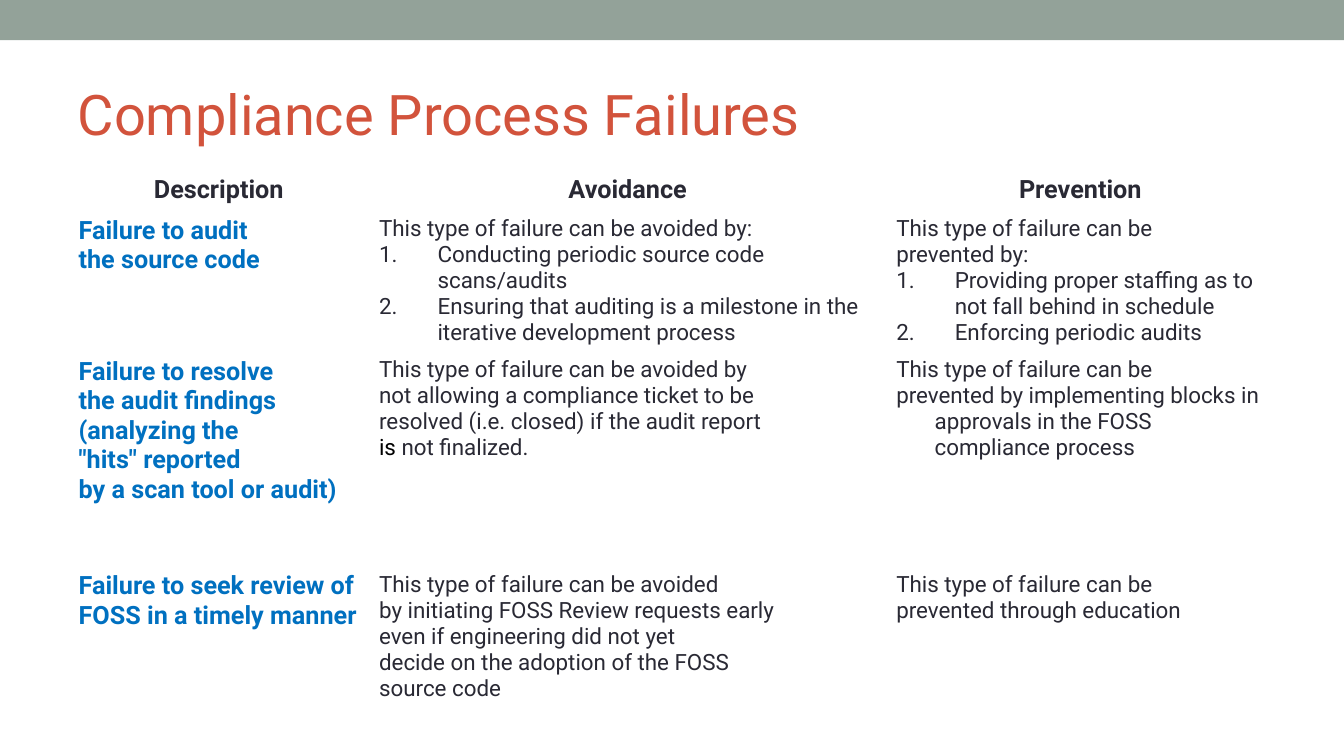
from lxml.etree import SubElement
from pptx import Presentation
from pptx.dml.color import RGBColor
from pptx.enum.shapes import MSO_SHAPE as Shape
from pptx.enum.text import MSO_ANCHOR as Anchor, PP_ALIGN as Align
from pptx.oxml.ns import qn
from pptx.util import Inches, Pt

INK, BLUE, BLACK, WHITE = "292934", "0070C0", "000000", "FFFFFF"
HEADER = {"size": Pt(18), "bold": True, "name": "Roboto"}
BODY = {"size": Pt(16), "bold": False, "name": "Roboto"}
NUMBER_MARK = "# "
COLUMN_WIDTHS = [2.98, 5.13, 3.85]
ROW_HEIGHTS = [0.4, 1.4, 2.13, 1.4]
HANGING_INDENTS = [0, 0.58, 0.38, 0.38]  # one per row

# Each cell is a list of paragraphs, each paragraph a list of (text, colour)
# runs or a plain string in the colour of its column.
ROWS = [
    [["Description"], ["Avoidance"], ["Prevention"]],
    [
        ["Failure to audit", "the source code"],
        ["This type of failure can be avoided by:",
         "# Conducting periodic source code scans/audits",
         "# Ensuring that auditing is a milestone in the iterative development process"],
        ["This type of failure can be",
         "prevented by:",
         "# Providing proper staffing as to not fall behind in schedule",
         "# Enforcing periodic audits"],
    ],
    [
        ["Failure to resolve", "the audit findings", "(analyzing the",
         '"hits" reported', "by a scan tool or audit)"],
        ["This type of failure can be avoided by",
         "not allowing a compliance ticket to be",
         "resolved (i.e. closed) if the audit report",
         [("is ", BLACK), ("not finalized.", INK)]],
        ["This type of failure can be",
         "prevented by implementing blocks in approvals in the FOSS compliance process"],
    ],
    [
        ["Failure to seek review of FOSS in a timely manner"],
        ["This type of failure can be avoided",
         "by initiating FOSS Review requests early",
         "even if engineering did not yet",
         "decide on the adoption of the FOSS",
         "source code"],
        ["This type of failure can be", "prevented through education"],
    ],
]


def paint(target, color):
    """Give a fill or a font a solid colour from a hex string."""
    if hasattr(target, "solid"):
        target.solid()
        target.fore_color.rgb = RGBColor.from_string(color)
    else:
        target.color.rgb = RGBColor.from_string(color)


def add_run(para, text, style, color):
    span = para.add_run()
    span.text = text
    for name, value in style.items():
        setattr(span.font, name, value)
    paint(span.font, color)


deck = Presentation()
deck.slide_width, deck.slide_height = Inches(13.33), Inches(7.5)
page = deck.slides.add_slide(deck.slide_layouts[5])

# Top bar
bar = page.shapes.add_shape(Shape.RECTANGLE, 0, 0, deck.slide_width, Inches(0.4))
bar.shadow.inherit = False
paint(bar.fill, "93A299")
bar.line.fill.background()

# Title
title = page.shapes.title
title.left, title.top, title.width, title.height = map(Inches, (0.67, 0.58, 12, 1.08))
title.text_frame.vertical_anchor = Anchor.MIDDLE
title_para = title.text_frame.paragraphs[0]
title_para.alignment = Align.LEFT
add_run(title_para, "Compliance Process Failures", {"size": Pt(40), "name": "Roboto"}, "D2533C")

# Table of failures
table = page.shapes.add_table(
    len(ROW_HEIGHTS), len(COLUMN_WIDTHS), Inches(0.68), Inches(1.69),
    Inches(sum(COLUMN_WIDTHS)), Inches(sum(ROW_HEIGHTS))).table
for column, width in zip(table.columns, COLUMN_WIDTHS):
    column.width = Inches(width)
for row, height in zip(table.rows, ROW_HEIGHTS):
    row.height = Inches(height)

for row_index, row_cells in enumerate(ROWS):
    for column_index, lines in enumerate(row_cells):
        is_header, is_label = row_index == 0, column_index == 0
        style = HEADER if is_header or is_label else BODY
        color = BLUE if is_label and not is_header else INK
        indent = 0 if is_label else HANGING_INDENTS[row_index]
        cell = table.cell(row_index, column_index)
        paint(cell.fill, WHITE)
        for line_index, line in enumerate(lines):
            frame = cell.text_frame
            para = frame.add_paragraph() if line_index else frame.paragraphs[0]
            para.alignment = Align.CENTER if is_header else Align.LEFT
            properties = para._p.get_or_add_pPr()
            properties.set("marL", str(Inches(indent)))
            properties.set("indent", str(-Inches(indent)))
            if isinstance(line, str):
                if line.startswith(NUMBER_MARK):
                    bullet_color = SubElement(properties, qn("a:buClr"))
                    SubElement(bullet_color, qn("a:srgbClr"), val=INK)
                    SubElement(properties, qn("a:buAutoNum"), type="arabicPeriod")
                line = [(line.removeprefix(NUMBER_MARK), color)]
            for text, run_color in line:
                add_run(para, text, style, run_color)

deck.save("out.pptx")
